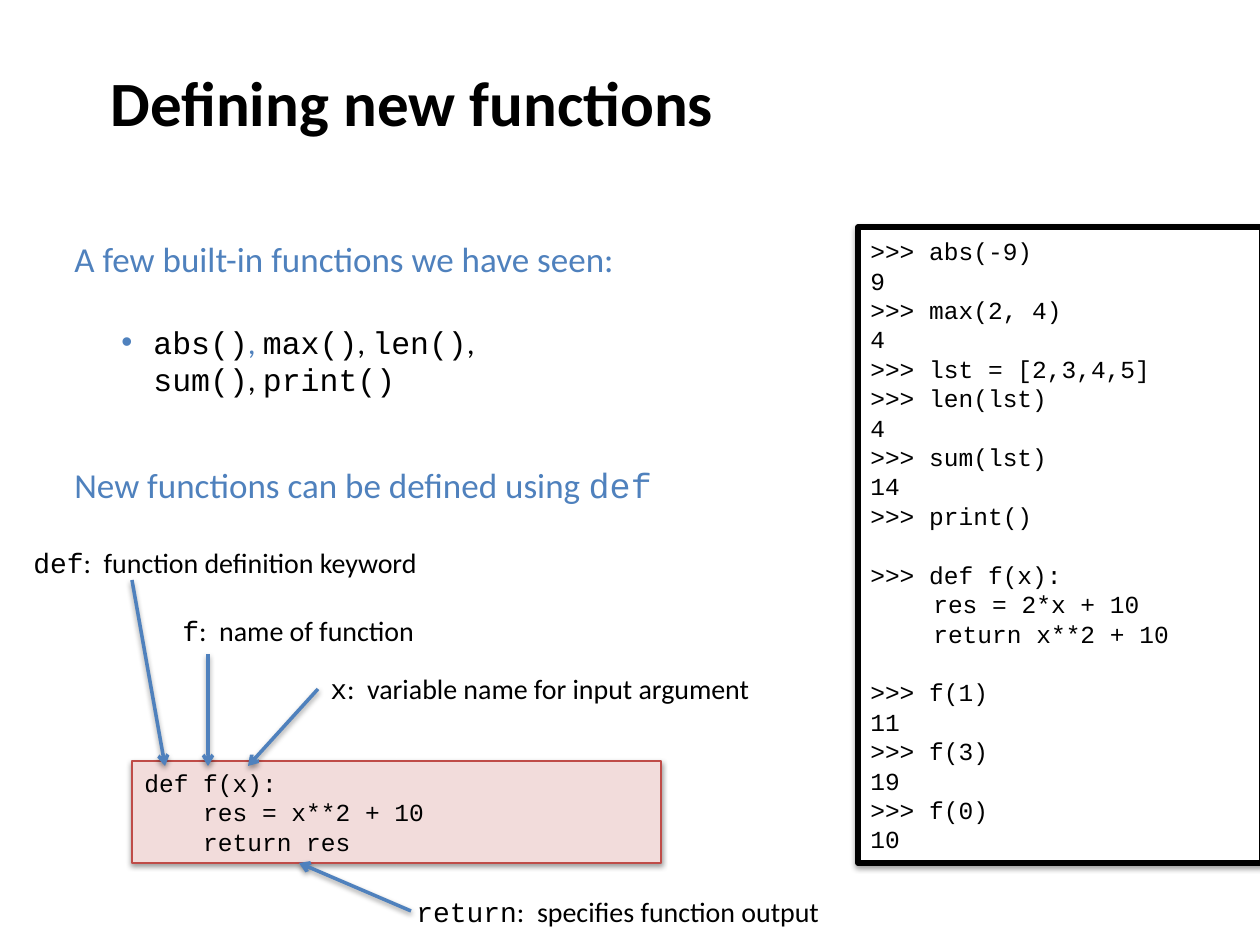
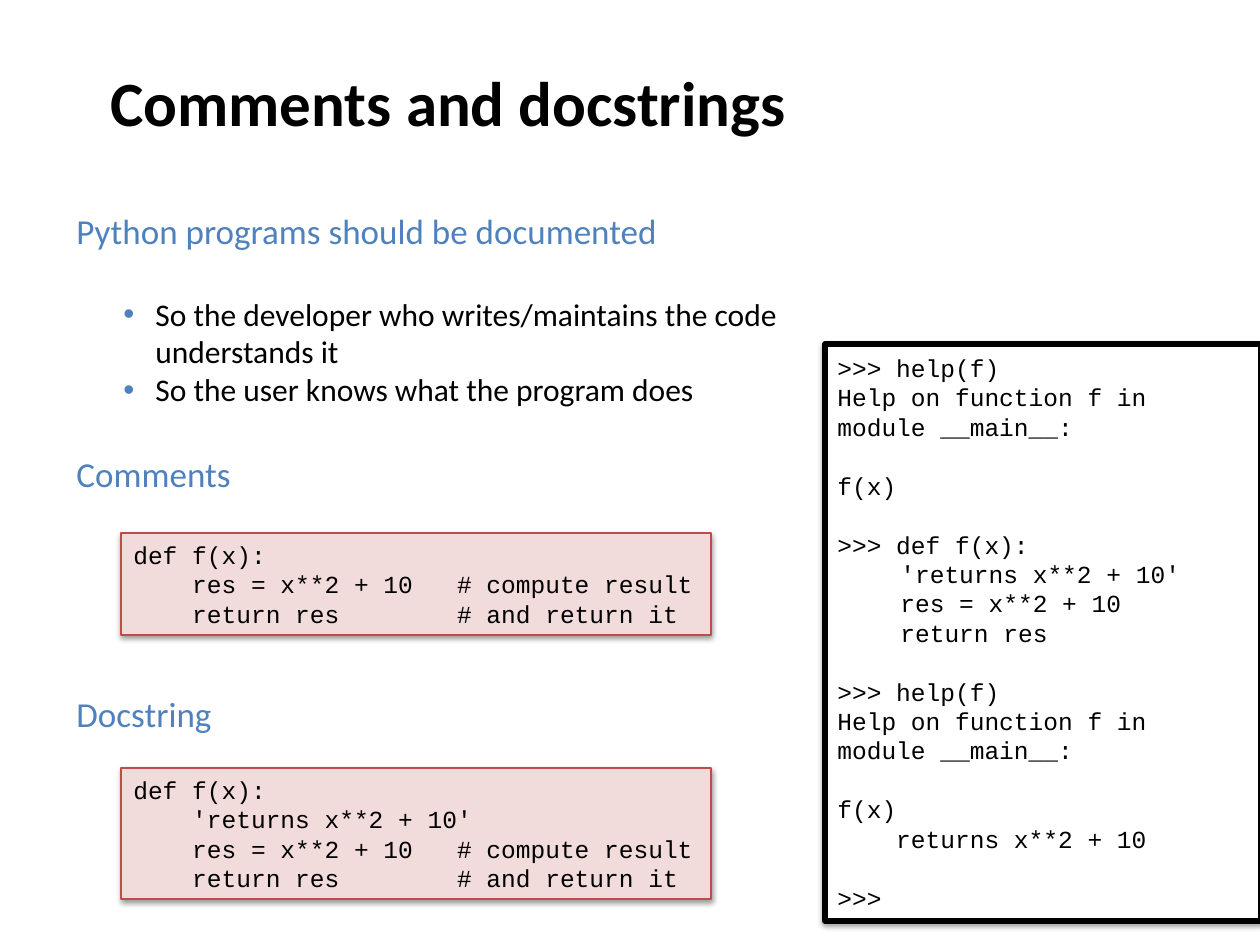
from dataclasses import dataclass

from lxml import etree
from pptx import Presentation
from pptx.dml.color import RGBColor
from pptx.enum.shapes import MSO_CONNECTOR, MSO_SHAPE
from pptx.enum.text import MSO_ANCHOR, MSO_AUTO_SIZE, PP_ALIGN
from pptx.oxml.ns import qn
from pptx.util import Emu, Pt

STRAIGHT = MSO_CONNECTOR.STRAIGHT
RECTANGLE = MSO_SHAPE.RECTANGLE
MIDDLE = MSO_ANCHOR.MIDDLE
FIT_SHAPE = MSO_AUTO_SIZE.SHAPE_TO_FIT_TEXT
FIXED_SIZE = MSO_AUTO_SIZE.NONE
LEFT = PP_ALIGN.LEFT

EMU_PER_PX = 914400 / 126
COLORS = {"ink": "000000", "accent": "4F81BD", "paper": "FFFFFF",
          "code_fill": "F2DCDB", "code_edge": "BF4C48"}
RUN_STYLES = {
    "prose": ("Calibri", "ink"),
    "code": ("Courier New", "ink"),
    "accent": ("Calibri", "accent"),
    "accent_code": ("Courier New", "accent"),
}
FRAME_FORMAT = {"word_wrap": True, "vertical_anchor": MIDDLE, "auto_size": FIT_SHAPE}
CODE_BOX = {"fill": "code_fill", "edge": "code_edge", "edge_width": 0.75}
CONSOLE = {"fill": "paper", "edge": "ink", "edge_width": 3}
CODE_SIZE = 14
CODE_LINE = 16.8
HEADING_SIZE = 20
BULLET_SIZE = 18
BULLET_GAP = 24.4
LABEL_SIZE = 16
LIST_MARGIN = 79
LIST_HANG = 32


def emu(px):
    """Turn px into EMU."""
    return Emu(round(px * EMU_PER_PX))


def rgb(name):
    """Look up a named colour."""
    return RGBColor.from_string(COLORS[name])


@dataclass
class Line:
    """One paragraph: styled runs, size, gap above, list indent."""
    runs: list
    size: float
    gap: float = 0
    listed: bool = False
    bullet: bool = False


def heading(*runs):
    """Make a heading paragraph."""
    return Line(list(runs), HEADING_SIZE)


def bullet(*runs, gap=0, marked=True):
    """Make a list paragraph."""
    return Line(list(runs), BULLET_SIZE, gap, True, marked)


def code_lines(source):
    """Split code into paragraphs, turning empty lines into spacing."""
    lines, gap = [], 0
    for row in source:
        if row:
            lines.append(Line([(row, "code")], CODE_SIZE, gap))
            gap = 0
        else:
            gap += CODE_LINE
    return lines


class Deck:
    """Shared style and the slide being built."""

    def __init__(self):
        self.prs = Presentation()
        self.prs.slide_width, self.prs.slide_height = emu(1260), emu(945)
        self.slide = None

    def new_slide(self, title):
        """Start a slide with its title."""
        self.slide = self.prs.slides.add_slide(self.prs.slide_layouts[6])
        box = self.text((98, 0, 1071, 203), [Line([(title, "prose")], 36)])
        box.text_frame.auto_size = FIXED_SIZE
        box.text_frame.paragraphs[0].runs[0].font.bold = True

    def fill_frame(self, frame, lines):
        """Fill a text frame with paragraphs."""
        for name, value in FRAME_FORMAT.items():
            setattr(frame, name, value)
        for index, line in enumerate(lines):
            para = frame.add_paragraph() if index else frame.paragraphs[0]
            layout = {"alignment": LEFT, "space_before": Pt(line.gap)}
            for name, value in layout.items():
                setattr(para, name, value)
            if line.listed:
                self.indent(para, line.bullet)
            for text, style in line.runs:
                run = para.add_run()
                run.text = text
                face, color = RUN_STYLES[style]
                for name, value in {"name": face, "size": Pt(line.size)}.items():
                    setattr(run.font, name, value)
                run.font.color.rgb = rgb(color)

    def indent(self, para, marked):
        """Set the list indent and, if marked, the bullet."""
        props = para._p.get_or_add_pPr()
        props.set("marL", str(emu(LIST_MARGIN)))
        props.set("indent", str(-emu(LIST_HANG) if marked else 0))
        if marked:
            tint = etree.SubElement(props, qn("a:buClr"))
            etree.SubElement(tint, qn("a:srgbClr"), val=COLORS["accent"])
            etree.SubElement(props, qn("a:buFont"), typeface="Arial")
            etree.SubElement(props, qn("a:buChar"), char="•")

    def text(self, place, lines):
        """Add a plain text box."""
        box = self.slide.shapes.add_textbox(*map(emu, place))
        self.fill_frame(box.text_frame, lines)
        return box

    def code(self, place, source, look):
        """Add a framed block of code."""
        block = self.slide.shapes.add_shape(RECTANGLE, *map(emu, place))
        block.fill.solid()
        block.fill.fore_color.rgb = rgb(look["fill"])
        block.line.color.rgb = rgb(look["edge"])
        block.line.width = Pt(look["edge_width"])
        block.shadow.inherit = False
        self.cast_shadow(block._element.spPr.find(qn("a:effectLst")))
        self.fill_frame(block.text_frame, code_lines(source))

    def arrow(self, start, end):
        """Add an arrow from start to end."""
        pointer = self.slide.shapes.add_connector(STRAIGHT, *map(emu, start + end))
        pointer.line.color.rgb = rgb("accent")
        pointer.line.width = Pt(2)
        props = pointer._element.spPr
        etree.SubElement(props.find(qn("a:ln")), qn("a:tailEnd"), type="arrow")
        self.cast_shadow(etree.SubElement(props, qn("a:effectLst")))

    def cast_shadow(self, effects):
        """Put the soft drop shadow into an effect list."""
        shadow = etree.SubElement(effects, qn("a:outerShdw"), blurRad="40000",
                                  dist="20000", dir="5400000", rotWithShape="0")
        tint = etree.SubElement(shadow, qn("a:srgbClr"), val=COLORS["ink"])
        etree.SubElement(tint, qn("a:alpha"), val="38000")


def defining_functions(deck):
    """Build the slide on def."""
    deck.new_slide("Defining new functions")
    comma = (", ", "prose")
    deck.text((62, 231, 572, 174), [
        heading(("A few built-in functions we have seen:", "accent")),
        bullet(("abs()", "code"), (", ", "accent"), ("max()", "code"), comma,
               ("len()", "code"), (",", "prose"), gap=BULLET_GAP),
        bullet(("sum()", "code"), comma, ("print()", "code"), marked=False),
    ])
    deck.text((62, 457, 609, 55), [
        heading(("New functions can be defined using ", "accent"),
                ("def", "accent_code"))])
    deck.code((132, 761, 529, 102),
              ["def f(x):", "    res = x**2 + 10", "    return res"], CODE_BOX)

    callouts = [
        ("def", "function definition keyword", (21, 539, 416), (132, 580), (165, 766)),
        ("f", "name of function", (170, 607, 260), (208, 654), (208, 766)),
        ("x", "variable name for input argument", (318, 665, 460), (318, 689), (248, 766)),
        ("return", "specifies function output", (404, 888, 460), (411, 911), (299, 863)),
    ]
    for term, meaning, place, start, end in callouts:
        deck.arrow(start, end)
        deck.text((*place, 47), [
            Line([(term, "code"), (f":  {meaning}", "prose")], LABEL_SIZE)])

    deck.code((858, 227, 404, 636), [
        ">>> abs(-9)", "9", ">>> max(2, 4)", "4", ">>> lst = [2,3,4,5]",
        ">>> len(lst)", "4", ">>> sum(lst)", "14", ">>> print()", "",
        ">>> def f(x):", "\tres = 2*x + 10", "\treturn x**2 + 10", "",
        ">>> f(1)", "11", ">>> f(3)", "19", ">>> f(0)", "10"], CONSOLE)


def comments_and_docstrings(deck):
    """Build the slide on documentation."""
    deck.new_slide("Comments and docstrings")
    deck.text((64, 203, 726, 212), [
        heading(("Python programs should be documented", "accent")),
        bullet(("So the developer who writes/maintains the code understands it",
                "prose"), gap=BULLET_GAP),
        bullet(("So the user knows what the program does", "prose")),
    ])
    signature = "def f(x):"
    docstring = "'returns x**2 + 10'"
    body = ["    res = x**2 + 10   # compute result",
            "    return res        # and return it"]
    examples = [
        ("Comments", 446, 533, 102, [signature, *body]),
        ("Docstring", 686, 768, 131, [signature, f"    {docstring}", *body]),
    ]
    for topic, topic_top, code_top, code_height, source in examples:
        deck.text((64, topic_top, 182, 55), [heading((topic, "accent"))])
        deck.code((121, code_top, 590, code_height), source, CODE_BOX)

    help_call = [">>> help(f)", "Help on function f in module __main__:", "", "f(x)"]
    deck.code((825, 344, 436, 577), [
        *help_call, "", ">>> def f(x):", f"\t{docstring}", "\tres = x**2 + 10",
        "\treturn res", "", *help_call, "    returns x**2 + 10", "", ">>>"], CONSOLE)


def main():
    """Build and save both slides."""
    deck = Deck()
    defining_functions(deck)
    comments_and_docstrings(deck)
    deck.prs.save("out.pptx")


if __name__ == "__main__":
    main()
